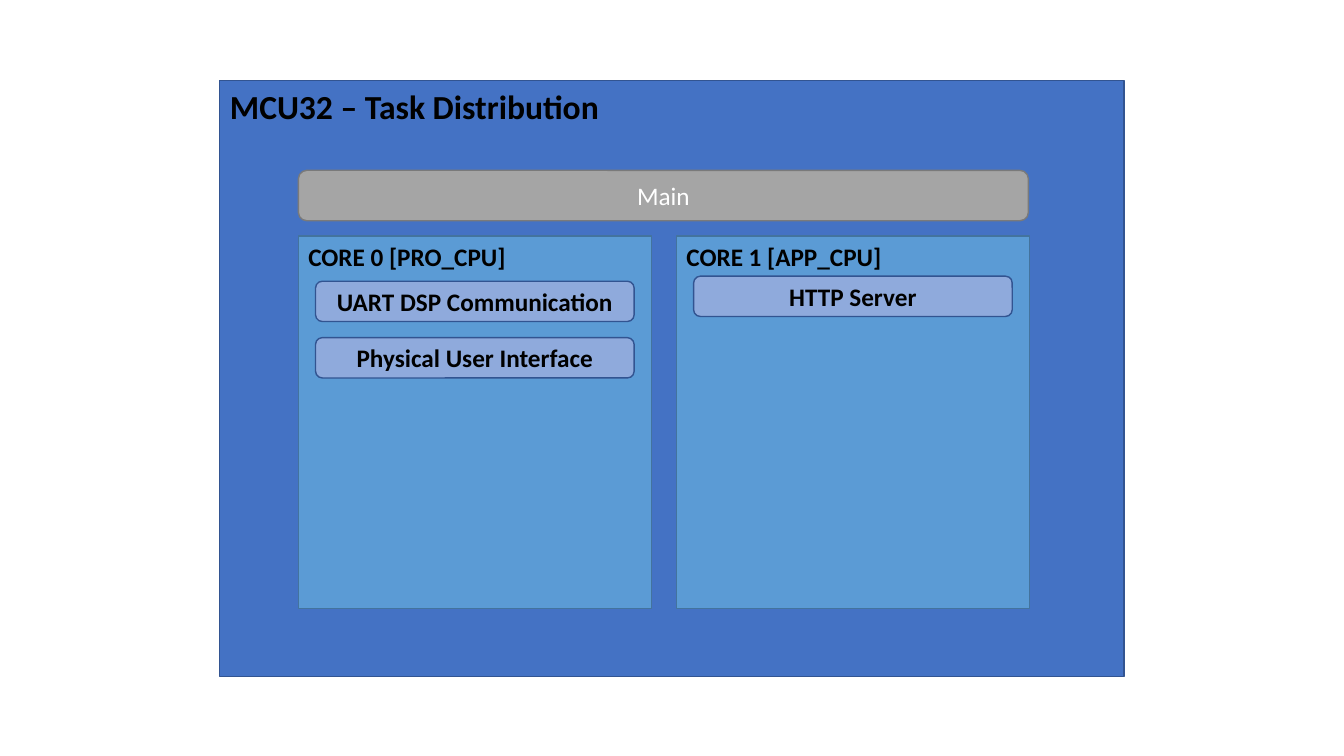
import pptx
import pptx.dml.color
import pptx.enum.shapes
import pptx.enum.text
import pptx.util

Inches = pptx.util.Inches
RGBColor = pptx.dml.color.RGBColor
MSO_SHAPE = pptx.enum.shapes.MSO_SHAPE
PP_ALIGN = pptx.enum.text.PP_ALIGN
MSO_ANCHOR = pptx.enum.text.MSO_ANCHOR

BLACK = RGBColor(0x00, 0x00, 0x00)
WHITE = RGBColor(0xFF, 0xFF, 0xFF)
CHIP_BLUE = RGBColor(0x44, 0x72, 0xC4)
CHIP_EDGE = RGBColor(0x32, 0x54, 0x91)
MAIN_GRAY = RGBColor(0xA5, 0xA5, 0xA5)
MAIN_EDGE = RGBColor(0x7A, 0x7A, 0x7A)
CORE_BLUE = RGBColor(0x5B, 0x9B, 0xD5)
CORE_EDGE = RGBColor(0x43, 0x73, 0x9E)
TASK_BLUE = RGBColor(0x8F, 0xAA, 0xDC)


def add_block(kind, left, top, width, height, fill, edge):
    """Add a filled, outlined shape without a shadow."""
    block = page.shapes.add_shape(
        kind, Inches(left), Inches(top), Inches(width), Inches(height))
    block.shadow.inherit = False
    block.fill.solid()
    block.fill.fore_color.rgb = fill
    block.line.color.rgb = edge
    block.line.width = pptx.util.Pt(1)
    return block


def write_text(box, text, size=18, color=BLACK, bold=True,
               align=PP_ALIGN.CENTER, anchor=MSO_ANCHOR.MIDDLE):
    """Put one formatted line of text in a shape."""
    frame = box.text_frame
    frame.word_wrap = True
    frame.auto_size = pptx.enum.text.MSO_AUTO_SIZE.NONE
    frame.vertical_anchor = anchor
    para = frame.paragraphs[0]
    para.alignment = align
    span = para.add_run()
    span.text = text
    span.font.name = "Calibri"
    span.font.size = pptx.util.Pt(size)
    span.font.bold = bold
    span.font.color.rgb = color


deck = pptx.Presentation()
deck.slide_width = Inches(13.33)
deck.slide_height = Inches(7.5)
page = deck.slides.add_slide(deck.slide_layouts[5])

add_block(MSO_SHAPE.RECTANGLE, 2.18, 0.8, 8.97, 5.91, CHIP_BLUE, CHIP_EDGE)

# The title placeholder moves in front of the chip panel.
title = page.shapes.title
title.left, title.top = Inches(2.18), Inches(0.8)
title.width, title.height = Inches(4.28), Inches(0.5)
write_text(title, "MCU32 – Task Distribution", size=24,
           align=PP_ALIGN.LEFT, anchor=MSO_ANCHOR.TOP)
page.shapes.element.append(title.element)

main_bar = add_block(MSO_SHAPE.ROUNDED_RECTANGLE, 2.96, 1.69, 7.24, 0.5,
                     MAIN_GRAY, MAIN_EDGE)
write_text(main_bar, "Main", color=WHITE, bold=False)

# Each core: heading, left edge, top of its first task, task names.
CORES = [
    ("CORE 0 [PRO_CPU]", 2.96, 2.79,
     ["UART DSP Communication", "Physical User Interface"]),
    ("CORE 1 [APP_CPU]", 6.71, 2.74, ["HTTP Server"]),
]
CORE_WIDTH = 3.5
TASK_WIDTH = 3.16
TASK_PITCH = 0.56

for heading, left, first_top, tasks in CORES:
    core = add_block(MSO_SHAPE.RECTANGLE, left, 2.34, CORE_WIDTH, 3.7,
                     CORE_BLUE, CORE_EDGE)
    write_text(core, heading, align=PP_ALIGN.LEFT, anchor=MSO_ANCHOR.TOP)
    task_left = left + (CORE_WIDTH - TASK_WIDTH) / 2
    for row, name in enumerate(tasks):
        task = add_block(MSO_SHAPE.ROUNDED_RECTANGLE, task_left,
                         first_top + row * TASK_PITCH, TASK_WIDTH, 0.4,
                         TASK_BLUE, CHIP_EDGE)
        write_text(task, name)

deck.save("out.pptx")
